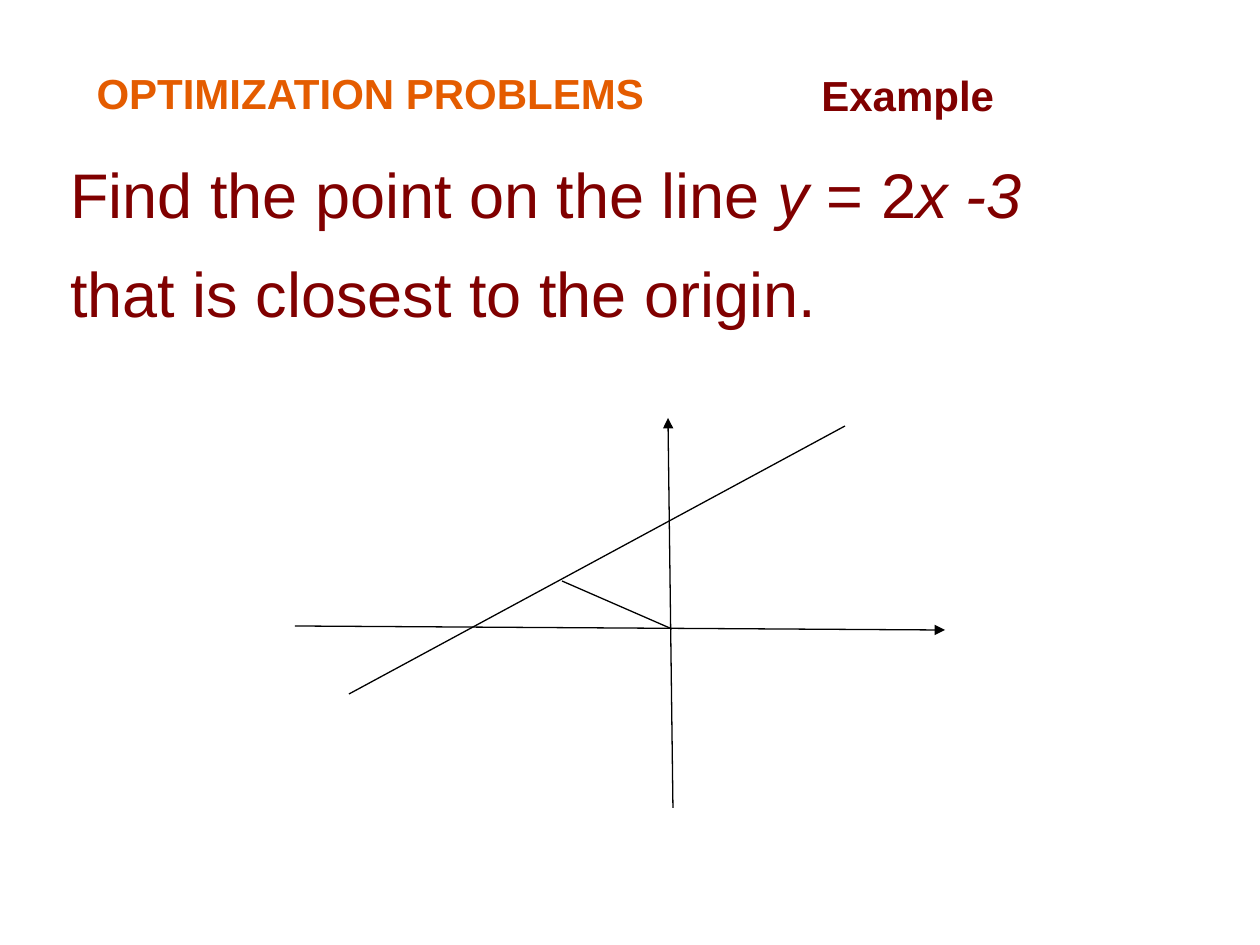
import pptx
import pptx.dml.color
import pptx.enum.shapes
import pptx.enum.text
import pptx.oxml
import pptx.util
from dataclasses import dataclass

EMU_PER_PX = 914400 / 126


@dataclass(frozen=True)
class Theme:
    font: str = "Arial"
    orange: str = "E45C00"
    maroon: str = "800000"
    black: str = "000000"
    heading_size: int = 24
    body_size: int = 36
    line_width: float = 0.75


THEME = Theme()


def px(length):
    return pptx.util.Emu(round(length * EMU_PER_PX))


def rgb(value):
    return pptx.dml.color.RGBColor.from_string(value)


def style_frame(frame, size, color, bold=False):
    """Set wrapping and the common font, and return the first paragraph."""
    frame.word_wrap = True
    frame.auto_size = pptx.enum.text.MSO_AUTO_SIZE.NONE
    para = frame.paragraphs[0]
    para.alignment = pptx.enum.text.PP_ALIGN.LEFT
    font = para.font
    font.name, font.size, font.bold = THEME.font, pptx.util.Pt(size), bold
    font.color.rgb = rgb(color)
    return para


def add_title(page, text, left, top, width, height):
    title = page.shapes.title
    title.left, title.top = px(left), px(top)
    title.width, title.height = px(width), px(height)
    para = style_frame(title.text_frame, THEME.heading_size, THEME.orange, bold=True)
    para.add_run().text = text
    title.text_frame.vertical_anchor = pptx.enum.text.MSO_ANCHOR.MIDDLE


def add_text(page, lines, left, top, width, height, size, bold=False, spacing=1.0):
    """Lines hold (text, italic) spans and are parted by line breaks."""
    box = page.shapes.add_textbox(px(left), px(top), px(width), px(height))
    para = style_frame(box.text_frame, size, THEME.maroon, bold)
    para.line_spacing = spacing
    for number, line in enumerate(lines):
        if number:
            para.add_line_break()
        for text, italic in line:
            span = para.add_run()
            span.text = text
            if italic:
                span.font.italic = True


def add_line(shapes, start, end, arrow=False):
    line = shapes.add_connector(
        pptx.enum.shapes.MSO_CONNECTOR.STRAIGHT, *map(px, start + end))
    line.line.color.rgb = rgb(THEME.black)
    line.line.width = pptx.util.Pt(THEME.line_width)
    if arrow:
        outline = line.line._get_or_add_ln()
        tail = pptx.oxml.parse_xml(
            '<a:tailEnd xmlns:a="http://schemas.openxmlformats.org/drawingml/2006/main"'
            ' type="triangle"/>')
        outline.append(tail)
    # An empty effect list removes the shadow
    line._element.spPr.append(pptx.oxml.parse_xml(
        '<a:effectLst xmlns:a="http://schemas.openxmlformats.org/drawingml/2006/main"/>'))


def add_graph(page):
    graph = page.shapes.add_group_shape().shapes
    # Axes
    add_line(graph, (673, 808), (668, 418), arrow=True)
    add_line(graph, (295, 626), (945, 630), arrow=True)
    # Given line and its distance from the origin
    add_line(graph, (349, 694), (845, 426))
    add_line(graph, (672, 629), (562, 581))


def main():
    deck = pptx.Presentation()
    deck.slide_width, deck.slide_height = px(1260), px(945)
    page = deck.slides.add_slide(deck.slide_layouts[5])

    # Headings
    add_title(page, "OPTIMIZATION PROBLEMS", 84, 52, 735, 81)
    add_text(page, [[("Example", False)]], 809, 63, 388, 63,
             THEME.heading_size, bold=True)

    # Problem statement
    problem = [
        [("Find the point on the line ", False), ("y", True),
         (" = 2", False), ("x -3", True)],
        [("that is closest to the origin.", False)],
    ]
    add_text(page, problem, 58, 127, 1181, 808, THEME.body_size, spacing=1.3)

    # Sketch of the problem
    add_graph(page)

    deck.save("out.pptx")


if __name__ == "__main__":
    main()
